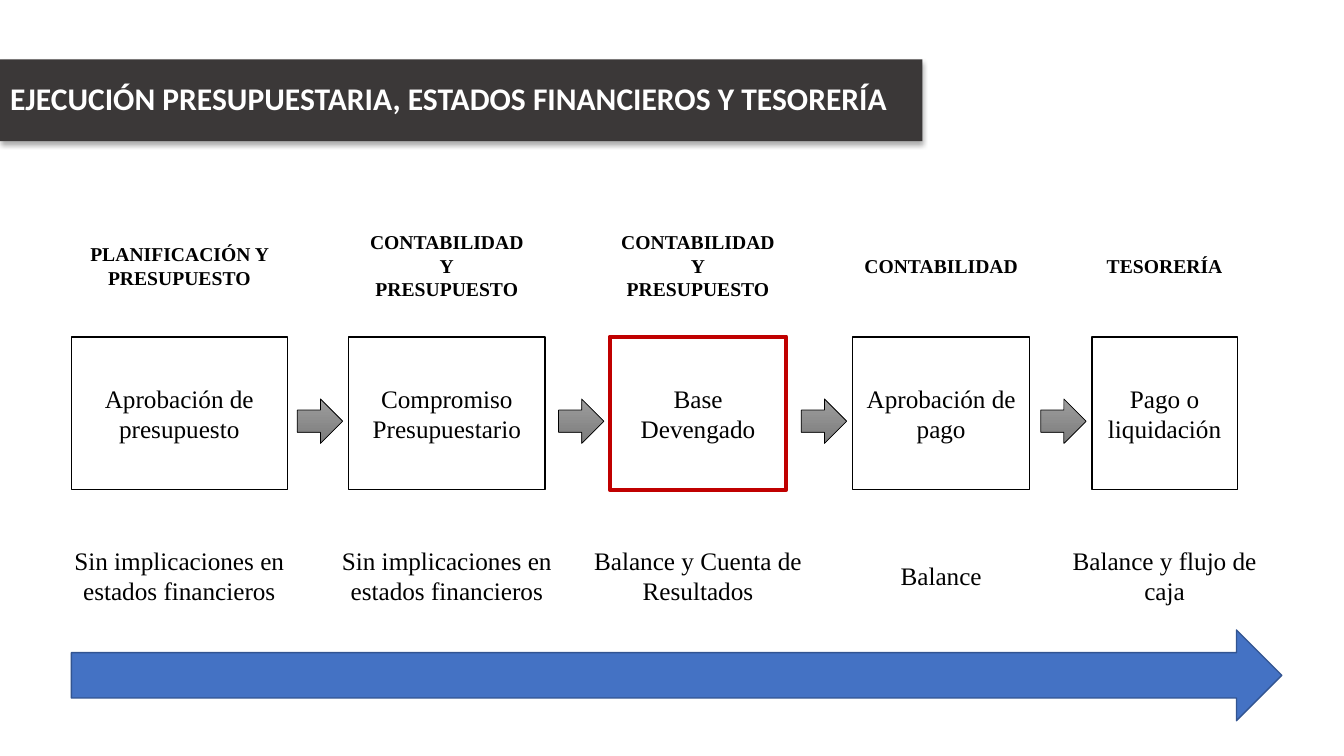
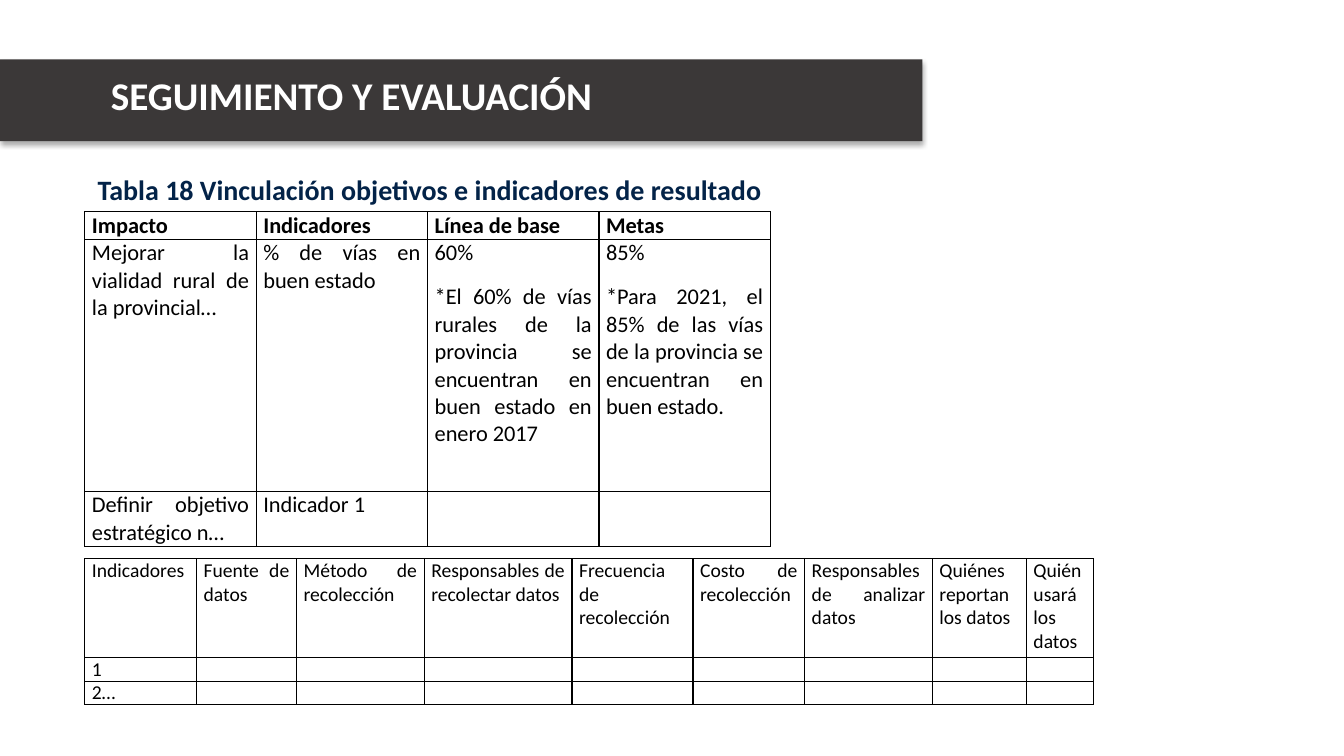
from dataclasses import dataclass
from typing import Optional, Sequence

from lxml.etree import SubElement
from pptx import Presentation
from pptx.dml.color import RGBColor
from pptx.enum.shapes import MSO_SHAPE
from pptx.enum.text import MSO_ANCHOR, MSO_AUTO_SIZE, PP_ALIGN
from pptx.oxml.ns import qn
from pptx.util import Emu, Pt

COLUMNS, ROWS = 160, 90
CELL = 76200
TITLE_ONLY = 5
SANS, SERIF = "Calibri", "Times New Roman"
COLORS = {
    "band": "3B3838",
    "paper": "FFFFFF",
    "ink": "000000",
    "accrual": "C00000",
    "caption": "032348",
    "timeline": "4472C4",
    "timeline_edge": "325491",
    "step_light": "9D9D9D",
    "step_dark": "7C7C7C",
}


@dataclass(frozen=True)
class Area:
    left: float
    top: float
    width: float
    height: float

    def emu(self) -> tuple:
        return tuple(grid(n) for n in (self.left, self.top, self.width, self.height))


@dataclass(frozen=True)
class Stage:
    left: float
    width: float
    unit_width: float
    unit: str
    action: str
    effect: str
    edge: str = "ink"
    edge_width: float = 1

    @property
    def center(self) -> float:
        return self.left + self.width / 2


@dataclass(frozen=True)
class Grid:
    left: float
    top: float
    columns: Sequence[float]
    rows: Sequence[float]
    cells: Sequence[Sequence[str]]
    size: float
    bold_header: bool = False


BAND = Area(0, 7.08, 109.8, 9.72)
ACTION_TOP, ACTION_HEIGHT = 40.1, 18.2
UNIT_TOP, UNIT_HEIGHT = 25.1, 13
EFFECT_TOP, EFFECT_WIDTH, EFFECT_HEIGHT = 61.9, 27.8, 13.2
STEP_TOP, STEP_WIDTH, STEP_HEIGHT, STEP_GAP = 47.5, 5.4, 5.3, 0.7
TIMELINE = Area(8.5, 75, 144.1, 10.8)

STAGES = (
    Stage(8.5, 25.7, 26.8, "PLANIFICACIÓN Y PRESUPUESTO",
          "Aprobación de presupuesto", "Sin implicaciones en estados financieros"),
    Stage(41.5, 23.4, 22.3, "CONTABILIDAD Y\nPRESUPUESTO",
          "Compromiso Presupuestario", "Sin implicaciones en estados financieros"),
    Stage(72.6, 21, 21, "CONTABILIDAD Y\nPRESUPUESTO",
          "Base Devengado", "Balance y Cuenta de Resultados", "accrual", 3),
    Stage(101.5, 21.1, 21.1, "CONTABILIDAD", "Aprobación de pago", "Balance"),
    Stage(130, 17.3, 17.3, "TESORERÍA", "Pago o liquidación", "Balance y flujo de caja"),
)

OBJECTIVES = Grid(
    10.1, 25.2, (20.4,) * 4, (3.3, 30, 6.6),
    (
        ("Impacto", "Indicadores", "Línea de base", "Metas"),
        (
            "Mejorar la vialidad rural de la provincial…",
            "% de vías en buen estado",
            "60%\n*El 60% de vías rurales de la provincia se encuentran en buen estado en enero 2017",
            "85%\n*Para 2021, el 85% de las vías de la provincia se encuentran en buen estado.",
        ),
        ("Definir objetivo estratégico n…", "Indicador 1", "", ""),
    ),
    16, True,
)

MONITORING = Grid(
    10.1, 66.5, (13.3, 11.9, 15.2, 17.6, 14.4, 13.3, 15.2, 11.2, 8), (11.8, 2.8, 2.8),
    (
        ("Indicadores", "Fuente de datos", "Método de recolección",
         "Responsables de recolectar datos", "Frecuencia de recolección",
         "Costo de recolección", "Responsables de analizar datos",
         "Quiénes reportan los datos", "Quién usará los datos"),
        ("1",) + ("",) * 8,
        ("2…",) + ("",) * 8,
    ),
    14,
)


def grid(count: float) -> Emu:
    return Emu(round(count * CELL))


def rgb(name: str) -> RGBColor:
    return RGBColor.from_string(COLORS[name])


def write(frame, text: str, *, size: float, font: str = SERIF, color: str = "ink",
          bold: bool = False, align=PP_ALIGN.CENTER, after: float = 0,
          spacing: float = 1.0) -> None:
    for position, line in enumerate(text.split("\n")):
        paragraph = frame.add_paragraph() if position else frame.paragraphs[0]
        paragraph.alignment = align
        paragraph.space_before = Pt(0)
        paragraph.space_after = Pt(after)
        paragraph.line_spacing = spacing
        if not line:
            SubElement(paragraph._p, qn("a:endParaRPr"), sz=str(round(size * 100)))
            continue
        run = paragraph.add_run()
        run.text = line
        run.font.size = Pt(size)
        run.font.name = font
        run.font.bold = bold
        run.font.color.rgb = rgb(color)


def draw_shape(slide, area: Area, *, kind=MSO_SHAPE.RECTANGLE, fill: str = "paper",
               edge: Optional[str] = None, edge_width: float = 1):
    shape = slide.shapes.add_shape(kind, *area.emu())
    shape.shadow.inherit = False
    shape.fill.solid()
    shape.fill.fore_color.rgb = rgb(fill)
    if edge:
        shape.line.color.rgb = rgb(edge)
        shape.line.width = Pt(edge_width)
    else:
        shape.line.fill.background()
    shape.text_frame.word_wrap = True
    shape.text_frame.vertical_anchor = MSO_ANCHOR.MIDDLE
    return shape


def cast_shadow(shape) -> None:
    shape.shadow.inherit = False
    effects = shape._element.spPr.find(qn("a:effectLst"))
    shadow = SubElement(effects, qn("a:outerShdw"), blurRad=str(Pt(3.5)),
                        dist=str(Pt(2.2)), dir="5400000", algn="t", rotWithShape="0")
    tint = SubElement(shadow, qn("a:srgbClr"), val=COLORS["ink"])
    SubElement(tint, qn("a:alpha"), val="32000")


def add_titled_slide(deck, heading: str, *, size: float, indent: float = 1.2,
                     lift: float = 0.6):
    slide = deck.slides.add_slide(deck.slide_layouts[TITLE_ONLY])
    title = slide.shapes.title
    title.left, title.top, title.width, title.height = BAND.emu()
    title.fill.solid()
    title.fill.fore_color.rgb = rgb("band")
    cast_shadow(title)
    frame = title.text_frame
    frame.auto_size = MSO_AUTO_SIZE.NONE
    frame.word_wrap = True
    frame.vertical_anchor = MSO_ANCHOR.MIDDLE
    frame.margin_left = grid(indent)
    frame.margin_bottom = grid(lift)
    write(frame, heading, size=size, font=SANS, color="paper", bold=True,
          align=PP_ALIGN.LEFT, spacing=0.9)
    return slide


def draw_stage(slide, stage: Stage) -> None:
    unit = draw_shape(slide, Area(stage.center - stage.unit_width / 2, UNIT_TOP,
                                  stage.unit_width, UNIT_HEIGHT))
    write(unit.text_frame, stage.unit, size=14, bold=True)
    action = draw_shape(slide, Area(stage.left, ACTION_TOP, stage.width, ACTION_HEIGHT),
                        edge=stage.edge, edge_width=stage.edge_width)
    write(action.text_frame, stage.action, size=18)
    effect = draw_shape(slide, Area(stage.center - EFFECT_WIDTH / 2, EFFECT_TOP,
                                    EFFECT_WIDTH, EFFECT_HEIGHT))
    write(effect.text_frame, stage.effect, size=18)


def draw_step(slide, target: Stage) -> None:
    step = draw_shape(slide, Area(target.left - STEP_GAP - STEP_WIDTH, STEP_TOP,
                                  STEP_WIDTH, STEP_HEIGHT),
                      kind=MSO_SHAPE.RIGHT_ARROW, edge="ink", edge_width=0.5)
    step.fill.gradient()
    step.fill.gradient_angle = 270
    for stop, tone in zip(step.fill.gradient_stops, ("step_light", "step_dark")):
        stop.color.rgb = rgb(tone)


def outline_cell(cell) -> None:
    properties = cell._tc.get_or_add_tcPr()
    for position, side in enumerate(("a:lnL", "a:lnR", "a:lnT", "a:lnB")):
        border = SubElement(properties, qn(side), w=str(Pt(1)))
        fill = SubElement(border, qn("a:solidFill"))
        SubElement(fill, qn("a:srgbClr"), val=COLORS["ink"])
        properties.insert(position, border)


def draw_table(slide, plan: Grid) -> None:
    area = Area(plan.left, plan.top, sum(plan.columns), sum(plan.rows))
    table = slide.shapes.add_table(len(plan.rows), len(plan.columns), *area.emu()).table
    table.first_row = table.horz_banding = False
    for column, width in zip(table.columns, plan.columns):
        column.width = grid(width)
    for row, height in zip(table.rows, plan.rows):
        row.height = grid(height)
    for r, texts in enumerate(plan.cells):
        for c, text in enumerate(texts):
            cell = table.cell(r, c)
            cell.margin_left = cell.margin_right = grid(0.85)
            cell.margin_top = cell.margin_bottom = 0
            cell.fill.background()
            outline_cell(cell)
            write(cell.text_frame, text, size=plan.size, font=SANS,
                  bold=plan.bold_header and r == 0, align=PP_ALIGN.JUSTIFY, after=12)


def build_execution(deck) -> None:
    slide = add_titled_slide(
        deck, "EJECUCIÓN PRESUPUESTARIA, ESTADOS FINANCIEROS Y TESORERÍA", size=22.5)
    for stage in STAGES:
        draw_stage(slide, stage)
    for target in STAGES[1:]:
        draw_step(slide, target)
    draw_shape(slide, TIMELINE, kind=MSO_SHAPE.RIGHT_ARROW, fill="timeline",
               edge="timeline_edge")


def build_monitoring(deck) -> None:
    slide = add_titled_slide(deck, "SEGUIMIENTO Y EVALUACIÓN", size=28, indent=13.2,
                             lift=1.2)
    draw_table(slide, OBJECTIVES)
    caption = slide.shapes.add_textbox(*Area(10.1, 19.9, 82.1, 5.3).emu()).text_frame
    caption.word_wrap = True
    caption.vertical_anchor = MSO_ANCHOR.MIDDLE
    write(caption, "Tabla 18 Vinculación objetivos e indicadores de resultado",
          size=20, font=SANS, color="caption", bold=True)
    draw_table(slide, MONITORING)


def main() -> None:
    deck = Presentation()
    deck.slide_width = grid(COLUMNS)
    deck.slide_height = grid(ROWS)
    build_execution(deck)
    build_monitoring(deck)
    deck.save("out.pptx")


if __name__ == "__main__":
    main()
